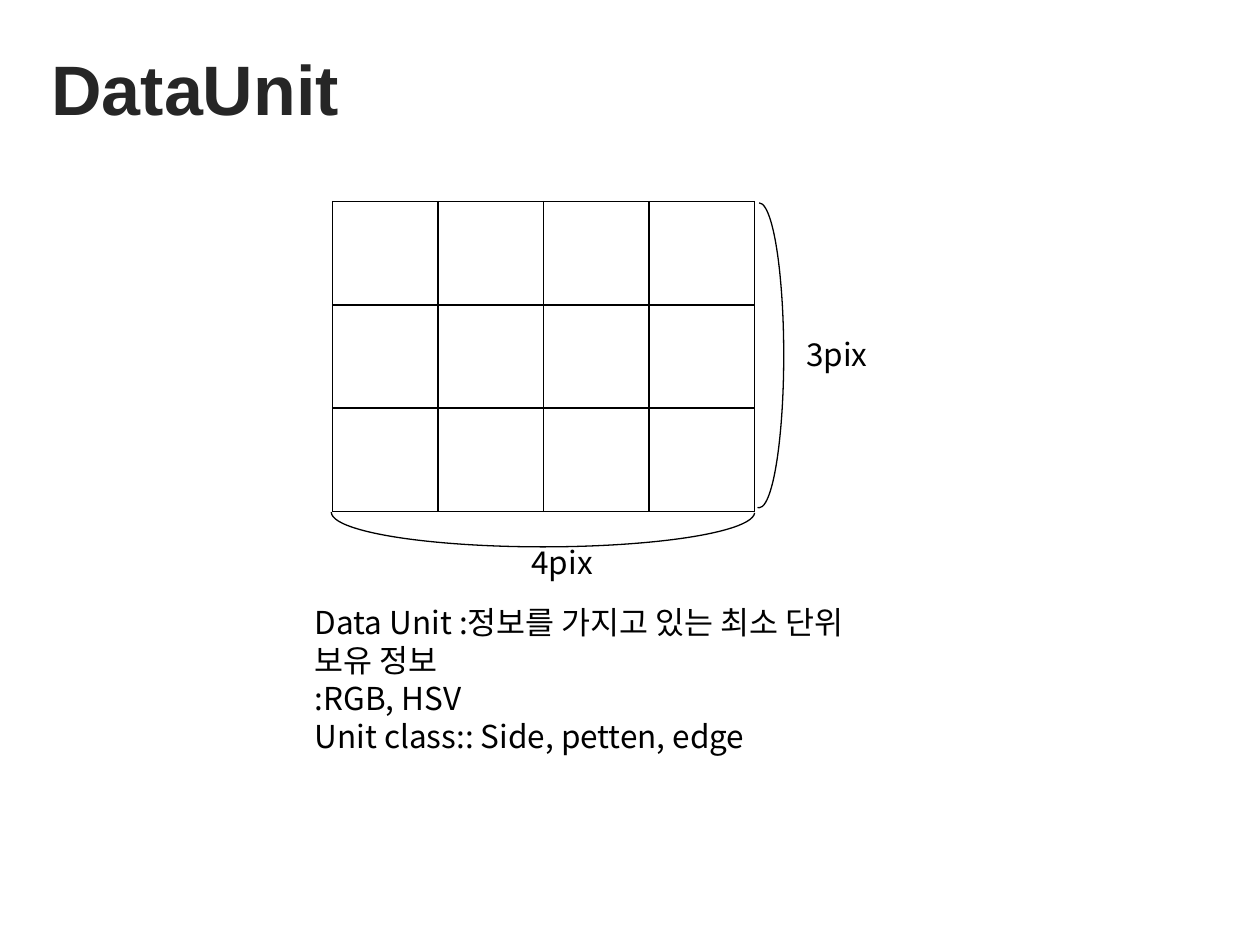
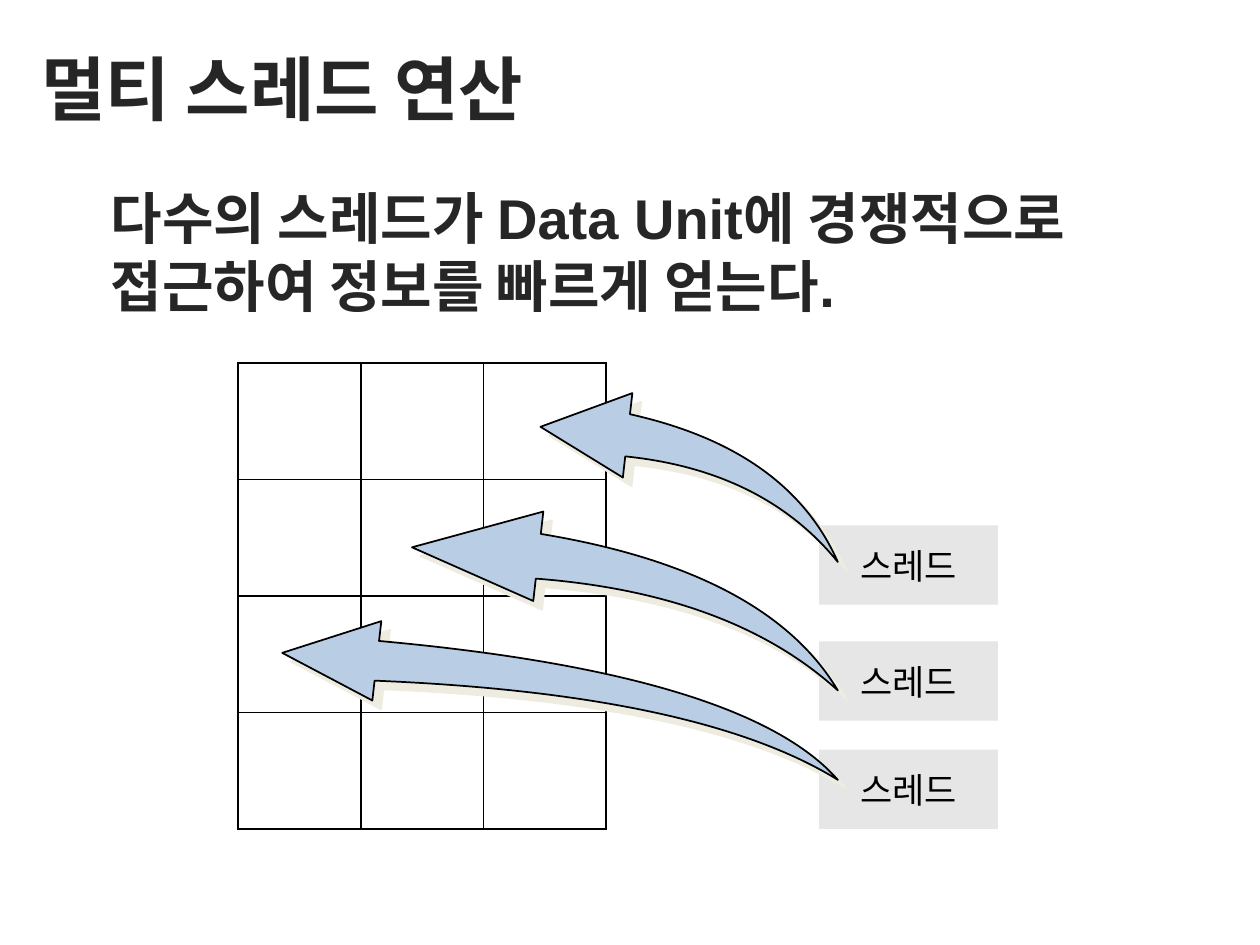
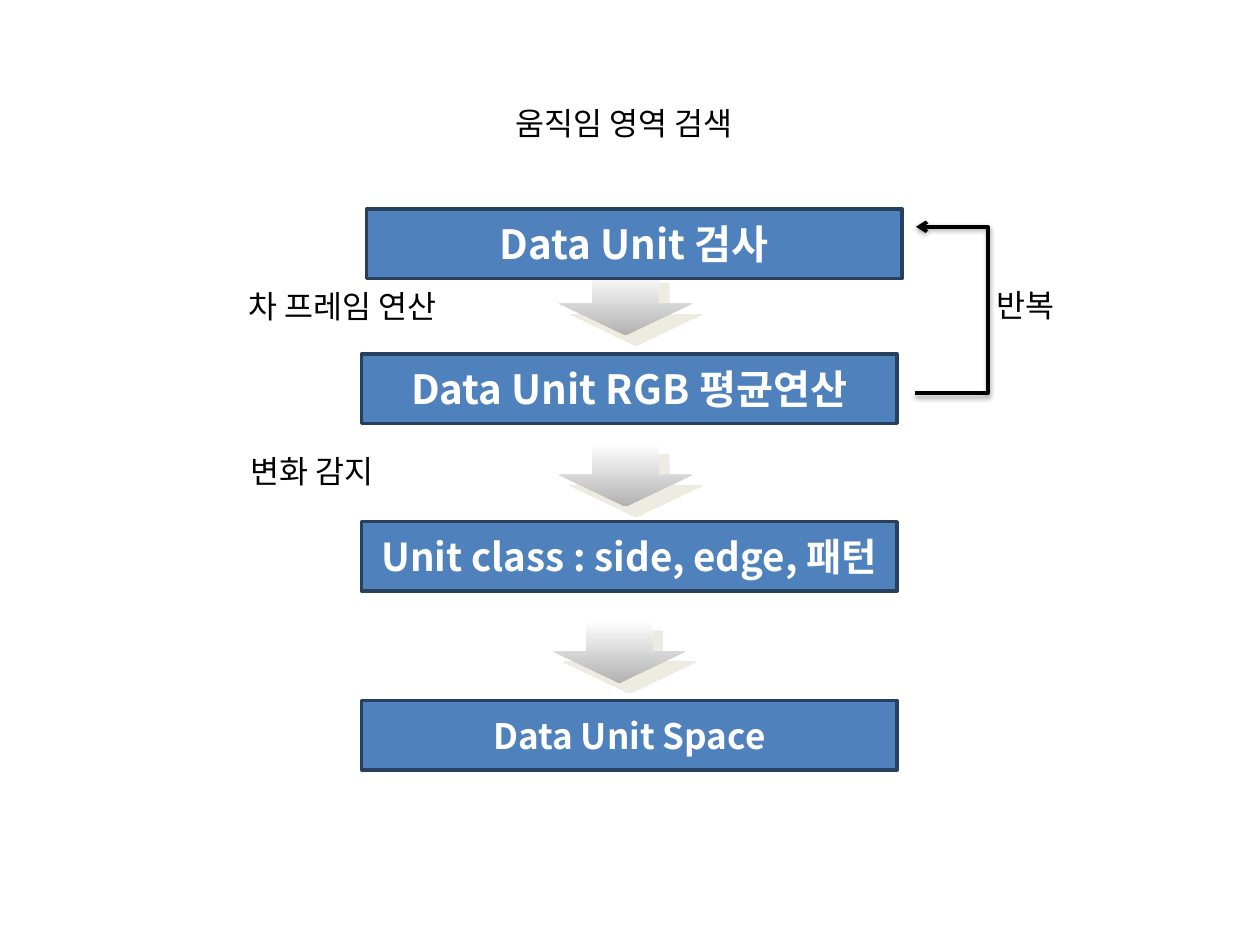
"""Build three slides on data units, multi-threaded access and motion search."""
from lxml import etree
from pptx import Presentation
from pptx.dml.color import RGBColor
from pptx.enum.shapes import MSO_CONNECTOR, MSO_SHAPE
from pptx.enum.text import PP_ALIGN
from pptx.oxml.ns import qn
from pptx.util import Inches, Pt

COLUMNS, ROWS = 10, 7.5
UNIT = Inches(1)
CENTER, LEFT = PP_ALIGN.CENTER, PP_ALIGN.LEFT
ARC, RECT = MSO_SHAPE.ARC, MSO_SHAPE.RECTANGLE
SWOOSH, DOWN = MSO_SHAPE.SWOOSH_ARROW, MSO_SHAPE.DOWN_ARROW
ELBOW = MSO_CONNECTOR.ELBOW
LATIN, KOREAN = "Arial", "Noto Sans CJK KR"
COLORS = {
    "ink": "000000", "title": "262626", "white": "FFFFFF",
    "thread": "E6E6E6", "swoosh": "B9CDE5", "shade": "EEECE1",
    "step": "4F81BD", "step_edge": "27405E", "arrow_end": "B2B2B2",
}
BODY = {"size": 18, "color": "ink", "font": KOREAN, "bold": False}
TITLE = {"size": 40, "color": "title", "font": LATIN, "bold": True}
LEAD = {**TITLE, "size": 32}
THREAD = {**BODY, "size": 20}
STEP = {**BODY, "color": "white", "bold": True}


def rgb(name):
    """Return the named colour."""
    return RGBColor.from_string(COLORS[name])


def grid(*lengths):
    """Turn grid columns and rows into slide lengths."""
    return [round(length * UNIT) for length in lengths]


def child(parent, tag, **attributes):
    """Append a drawing element with the given attributes."""
    return etree.SubElement(parent, qn(tag), {k: str(v) for k, v in attributes.items()})


def write(frame, lines, style, align=LEFT):
    """Write one styled run per paragraph."""
    frame.word_wrap = True
    for number, line in enumerate(lines):
        paragraph = frame.add_paragraph() if number else frame.paragraphs[0]
        paragraph.alignment = align
        run = paragraph.add_run()
        run.text = line
        font = run.font
        font.size, font.bold, font.name = Pt(style["size"]), style["bold"], style["font"]
        font.color.rgb = rgb(style["color"])
        child(font._element, "a:ea", typeface=KOREAN)


def label(slide, area, lines, style=BODY, align=LEFT):
    """Place free-standing text."""
    write(slide.shapes.add_textbox(*grid(*area)).text_frame, lines, style, align)


def title(slide, left, words):
    """Place the slide title."""
    label(slide, (left, 0.31, 6.87, 0.76), [words], TITLE)


def figure(slide, kind, area, fill=None, line=None, width=1, adjust=()):
    """Draw a preset shape without a theme shadow."""
    shape = slide.shapes.add_shape(kind, *grid(*area))
    shape.shadow.inherit = False
    for number, value in enumerate(adjust):
        shape.adjustments[number] = value
    if fill:
        shape.fill.solid()
        shape.fill.fore_color.rgb = rgb(fill)
    else:
        shape.fill.background()
    if line:
        shape.line.color.rgb = rgb(line)
        shape.line.width = Pt(width)
    else:
        shape.line.fill.background()
    return shape


def cast_shadow(properties, color, distance, angle=45, blur=0, opacity=100):
    """Give a shape or connector an outer shadow."""
    effects = properties.find(qn("a:effectLst"))
    if effects is None:
        effects = child(properties, "a:effectLst")
    shadow = child(effects, "a:outerShdw", blurRad=Pt(blur), dist=Pt(distance),
                   dir=angle * 60000, algn="ctr", rotWithShape=0)
    tone = child(shadow, "a:srgbClr", val=COLORS[color])
    child(tone, "a:alpha", val=opacity * 1000)


def pixel_grid(slide, area, rows, columns, fill=None):
    """Draw an empty table with thin black borders."""
    table = slide.shapes.add_table(rows, columns, *grid(*area)).table
    table.first_row = table.horz_banding = False
    for cell in table.iter_cells():
        properties = cell._tc.get_or_add_tcPr()
        for side in ("a:lnL", "a:lnR", "a:lnT", "a:lnB"):
            edge = child(properties, side, w=Pt(1))
            child(child(edge, "a:solidFill"), "a:srgbClr", val=COLORS["ink"])
        if fill:
            cell.fill.solid()
            cell.fill.fore_color.rgb = rgb(fill)
        else:
            cell.fill.background()


def thread_arrow(slide, left, top, height, bend, tail=6.65):
    """Draw a swoosh from a thread back to its data unit."""
    swoosh = figure(slide, SWOOSH, (left, top, tail - left, height),
                    "swoosh", "ink", adjust=(0.25, bend))
    properties = swoosh.element.spPr
    properties.get_or_add_xfrm().set("flipH", "1")
    cast_shadow(properties, "shade", 7.1)


def step_arrow(slide, left, top):
    """Draw a fading arrow between two steps."""
    arrow = figure(slide, DOWN, (left, top, 1.05, 0.5))
    arrow.fill.gradient()
    arrow.fill.gradient_angle = 270
    for stop, color, position in zip(arrow.fill.gradient_stops, ("white", "arrow_end"), (0, 1)):
        stop.color.rgb = rgb(color)
        stop.position = position
    cast_shadow(arrow.element.spPr, "shade", 8.5)


def repeat_loop(slide, left, bottom, top, reach):
    """Draw the elbow arrow that leads back to the first step."""
    step = 0.01
    loop = slide.shapes.add_connector(ELBOW, *grid(left, bottom, left + step, top))
    loop.line.color.rgb = rgb("ink")
    loop.line.width = Pt(2)
    properties = loop.element.spPr
    bend = properties.find(qn("a:prstGeom")).find(qn("a:avLst"))
    child(bend, "a:gd", name="adj1", fmla=f"val {round(reach / step * 100000)}")
    child(properties.find(qn("a:ln")), "a:tailEnd", type="arrow")
    cast_shadow(properties, "ink", 1.6, 90, 3.1, 38)


def data_unit(slide):
    """Show the size and content of a data unit."""
    title(slide, 0.31, "DataUnit")
    label(slide, (2.4, 4.74, 7.5, 1.4), [
        "Data Unit :정보를 가지고 있는 최소 단위",
        "보유 정보",
        ":RGB, HSV",
        "Unit class:: Side, petten, edge",
    ])
    for area, angles in (((2.63, 3.79, 3.36, 0.55), (0.12, 108.01)),
                         ((5.83, 1.61, 0.39, 2.42), (162, 54.37))):
        figure(slide, ARC, area, line="ink", width=0.75, adjust=angles)
    for left, top, size in ((6.3, 2.61, "3pix"), (4.12, 4.26, "4pix")):
        label(slide, (left, top, 0.81, 0.4), [size])
    pixel_grid(slide, (2.64, 1.6, 3.35, 2.46), 3, 4, "white")


def thread_access(slide):
    """Show threads competing for data units."""
    pixel_grid(slide, (1.89, 2.88, 2.92, 3.7), 4, 3)
    title(slide, 0.23, "멀티 스레드 연산")
    label(slide, (0.78, 1.41, 8.83, 1.16),
          ["다수의 스레드가 Data Unit에 경쟁적으로 접근하여 정보를 빠르게 얻는다."], LEAD)
    for top in (5.95, 5.09, 4.17):
        thread = figure(slide, RECT, (6.5, top, 1.42, 0.63), "thread")
        write(thread.text_frame, ["스레드"], THREAD, CENTER)
    for swoosh in ((4.29, 3.12, 1.34, 0.53), (3.27, 4.06, 1.42, 0.72), (2.24, 4.93, 1.26, 0.61)):
        thread_arrow(slide, *swoosh)


def motion_search(slide):
    """Show the steps of the motion search."""
    for left, top in ((4.44, 2.16), (4.44, 3.52), (4.39, 4.92)):
        step_arrow(slide, left, top)
    label(slide, (3.59, 0.78, 2.73, 0.38), ["움직임 영역 검색"], align=CENTER)
    repeat_loop(slide, 7.26, 3.12, 1.8, 0.59)
    for left, top, width, note in ((1.87, 2.23, 2.19, "차 프레임 연산"),
                                   (7.81, 2.22, 1.09, "반복"),
                                   (1.89, 3.54, 2.19, "변화 감지")):
        label(slide, (left, top, width, 0.4), [note])
    for left, top, size, name in ((2.91, 1.66, 23, "Data Unit 검사"),
                                  (2.87, 2.81, 23, "Data Unit RGB 평균연산"),
                                  (2.87, 4.14, 22, "Unit class : side, edge, 패턴"),
                                  (2.87, 5.56, 20, "Data Unit Space")):
        step = figure(slide, RECT, (left, top, 4.25, 0.55), "step", "step_edge", 2)
        write(step.text_frame, [name], {**STEP, "size": size}, CENTER)


def main():
    """Build and save the slides."""
    deck = Presentation()
    deck.slide_width, deck.slide_height = grid(COLUMNS, ROWS)
    for build in (data_unit, thread_access, motion_search):
        build(deck.slides.add_slide(deck.slide_layouts[6]))
    deck.save("out.pptx")


if __name__ == "__main__":
    main()
